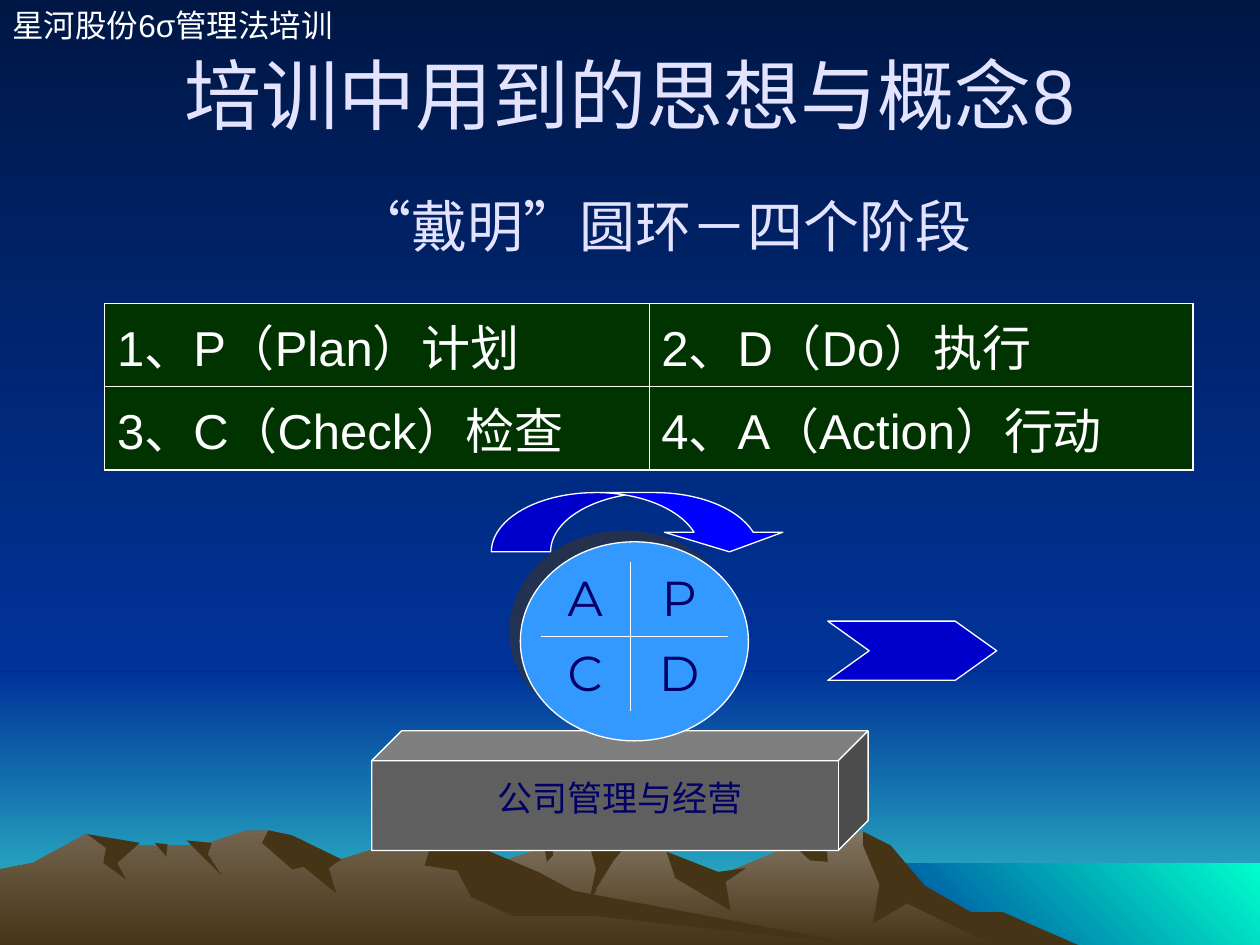
from lxml import etree
from pptx import Presentation
from pptx.dml.color import RGBColor
from pptx.enum.shapes import MSO_SHAPE
from pptx.enum.text import MSO_ANCHOR, MSO_AUTO_SIZE, PP_ALIGN
from pptx.oxml.ns import qn
from pptx.util import Inches, Pt

LEFT, CENTER = PP_ALIGN.LEFT, PP_ALIGN.CENTER
TOP, MIDDLE = MSO_ANCHOR.TOP, MSO_ANCHOR.MIDDLE
RECTANGLE, CUBE = MSO_SHAPE.RECTANGLE, MSO_SHAPE.CUBE
CIRCLE, CHEVRON = MSO_SHAPE.FLOWCHART_CONNECTOR, MSO_SHAPE.CHEVRON
CURVED_ARROW = MSO_SHAPE.CURVED_DOWN_ARROW

WHITE, LILAC, NAVY, BROWN = "FFFFFF", "E3E3FF", "000066", "463416"
SKY = ("001746", "003399", 270)
HAZE = ("003399", "33CCCC", 270)
SEA = ("00FFCC", "003399", 225)
FAR_HILL = ("837763", BROWN, 270)
NEAR_HILL = ("72644E", BROWN, 270)
ARIAL, LETTER_FONT, CJK_FONT = "Arial", "Montserrat", "Noto Sans CJK SC"
THICK, THIN = 1.08, 0.45

HEADER = "星河股份6σ管理法培训"
TITLE = "培训中用到的思想与概念8"
SUBTITLE = "“戴明”圆环－四个阶段"
STAGES = [["1、P（Plan）计划", "2、D（Do）执行"],
          ["3、C（Check）检查", "4、A（Action）行动"]]
WHEEL_LETTERS = [["A", "P"], ["C", "D"]]
BASE_LABEL = "公司管理与经营"

HORIZON = 5.33
BACKDROP = [((0, HORIZON, 10, 7.5 - HORIZON), HAZE), ((0, 0, 10, HORIZON), SKY),
            ((6.83, 6.85, 3.17, 0.67), SEA)]

TERRAIN = [
    (FAR_HILL, [
        (8.21, 7.51), (7.64, 7.23), (7.23, 6.98), (6.85, 6.6), (6.56, 6.71), (6.29, 6.71),
        (5.66, 6.97), (5.29, 6.76), (4.86, 6.73), (4.71, 6.58), (4.38, 6.71), (3.94, 6.85),
        (3.27, 7.09), (2.58, 7.51)]),
    (BROWN, [
        (6.85, 6.6), (7.07, 6.71), (7.34, 7.03), (7.71, 7.24), (7.96, 7.24), (8.58, 7.51),
        (7.92, 7.52), (7.2, 7.17), (6.93, 7.33), (6.98, 7.02), (6.85, 6.71)]),
    (BROWN, [
        (4.71, 6.58), (4.97, 6.71), (4.87, 6.83), (4.74, 7.04), (4.65, 7.27), (4.73, 6.9),
        (4.68, 6.71)]),
    (BROWN, [
        (5.29, 6.76), (5.7, 6.92), (5.92, 6.89), (5.76, 7), (5.8, 7.23), (5.36, 6.97)]),
    (BROWN, [(6.3, 6.71), (6.56, 6.71), (6.57, 6.84), (6.43, 6.83)]),
    (BROWN, [(4.32, 6.71), (4.39, 6.7), (4.39, 6.79), (4.34, 6.84)]),
    (NEAR_HILL, [
        (6.9, 7.51), (4.32, 7.12), (3.54, 6.65), (3.31, 6.63), (2.71, 6.82), (2.36, 6.81),
        (2.15, 6.59), (1.95, 6.59), (1.6, 6.71), (0.94, 6.71), (0.68, 6.62), (0.26, 6.85),
        (0, 6.9), (0, 7.51)]),
    (BROWN, [
        (2.13, 6.59), (2.32, 6.63), (2.71, 6.82), (2.61, 6.89), (2.67, 7.09), (2.41, 6.88),
        (2.32, 6.9), (2.08, 6.69)]),
    (BROWN, [
        (3.44, 6.65), (3.7, 6.68), (4.27, 6.92), (4.55, 7.07), (6.9, 7.51), (4.72, 7.27),
        (4.07, 7.27), (3.74, 7.12), (3.63, 6.91), (3.37, 6.87)]),
    (BROWN, [(3.18, 6.64), (3.27, 6.67), (3.3, 6.74), (3.19, 6.72)]),
    (BROWN, [(1.48, 6.67), (1.68, 6.69), (1.65, 6.78), (1.76, 6.95)]),
    (BROWN, [(1.23, 6.69), (1.33, 6.7), (1.32, 6.8)]),
    (BROWN, [
        (0.69, 6.62), (1.11, 6.69), (0.93, 6.85), (1, 6.98), (0.82, 6.85), (0.84, 6.73)]),
]


def rgb(color):
    return RGBColor.from_string(color)


def paint(fill, color):
    if isinstance(color, str):
        fill.solid()
        fill.fore_color.rgb = rgb(color)
        return
    *ends, angle = color
    fill.gradient()
    fill.gradient_angle = angle
    for stop, end in zip(fill.gradient_stops, ends):
        stop.color.rgb = rgb(end)


def finish(shape, color, outlined=False):
    paint(shape.fill, color)
    shape.shadow.inherit = False
    if outlined:
        shape.line.color.rgb = rgb(WHITE)
        shape.line.width = Pt(0.75)
    else:
        shape.line.fill.background()


def add_preset(kind, box, color, outlined=True, adjustments=()):
    shape = slide.shapes.add_shape(kind, *map(Inches, box))
    for i, value in enumerate(adjustments):
        shape.adjustments[i] = value
    finish(shape, color, outlined)
    return shape


def add_outline(points, color):
    start, *rest = [(round(x * 100), round(y * 100)) for x, y in points]
    builder = slide.shapes.build_freeform(*start, scale=Inches(0.01))
    builder.add_line_segments(rest, close=True)
    finish(builder.convert_to_shape(), color)


def write(frame, text, size, color, font=ARIAL, align=LEFT, before=0):
    paragraph = frame.paragraphs[0]
    paragraph.alignment = align
    paragraph.space_before = Pt(before)
    run = paragraph.add_run()
    run.text = text
    run.font.size = Pt(size)
    run.font.name = font
    run.font.color.rgb = rgb(color)
    east_asian = etree.Element(qn("a:ea"), typeface=CJK_FONT)
    run.font._element.find(qn("a:latin")).addnext(east_asian)


def add_label(box, text, size, color, anchor=TOP, **style):
    frame = slide.shapes.add_textbox(*map(Inches, box)).text_frame
    frame.word_wrap = True
    frame.vertical_anchor = anchor
    write(frame, text, size, color, **style)


def set_borders(cell, widths):
    properties = cell._tc.get_or_add_tcPr()
    for i, (side, width) in enumerate(zip("LRTB", widths)):
        line = etree.Element(qn(f"a:ln{side}"), w=str(Pt(width)))
        if width:
            solid = etree.SubElement(line, qn("a:solidFill"))
            etree.SubElement(solid, qn("a:srgbClr"), val=WHITE)
        else:
            etree.SubElement(line, qn("a:noFill"))
        properties.insert(i, line)


def add_grid(left, top, widths, row_height, texts, outer, fill, anchor, **style):
    rows, cols = len(texts), len(widths)
    table = slide.shapes.add_table(rows, cols, Inches(left), Inches(top),
                                   Inches(sum(widths)), Inches(row_height * rows)).table
    table.first_row = table.horz_banding = False
    for column, width in zip(table.columns, widths):
        column.width = Inches(width)
    for r, row in enumerate(texts):
        for c, text in enumerate(row):
            cell = table.cell(r, c)
            cell.vertical_anchor = anchor
            if fill:
                paint(cell.fill, fill)
            else:
                cell.fill.background()
            edges = (c == 0, c == cols - 1, r == 0, r == rows - 1)
            set_borders(cell, [outer if edge else THIN for edge in edges])
            write(cell.text_frame, text, 28, before=7, **style)


def add_hard_shadow(shape, color, opacity, distance, angle):
    effects = shape._element.spPr.find(qn("a:effectLst"))
    shadow = etree.SubElement(effects, qn("a:outerShdw"), dist=str(Pt(distance)),
                              dir=str(angle * 60000), algn="ctr", rotWithShape="0")
    tint = etree.SubElement(shadow, qn("a:srgbClr"), val=color)
    etree.SubElement(tint, qn("a:alpha"), val=str(opacity * 1000))


prs = Presentation()
prs.slide_width, prs.slide_height = Inches(10), Inches(7.5)
slide = prs.slides.add_slide(prs.slide_layouts[5])
paint(slide.background.fill, SKY)

for box, color in BACKDROP:
    add_preset(RECTANGLE, box, color, outlined=False)
for color, points in TERRAIN:
    add_outline(points, color)

add_label((0, 0, 2.95, 0.4), HEADER, 18, WHITE, before=11.2)

title = slide.shapes.title
title.left, title.top, title.width, title.height = map(Inches, (0.5, 0.25, 9, 0.98))
title.text_frame.auto_size = MSO_AUTO_SIZE.NONE
title.text_frame.vertical_anchor = MIDDLE
write(title.text_frame, TITLE, 44, LILAC, align=CENTER)
title._element.getparent().append(title._element)

add_preset(CUBE, (2.95, 5.8, 3.94, 0.95), "5F5F5F", adjustments=[0.25])
add_label((1.14, 1.39, 8.25, 0.8), SUBTITLE, 32, LILAC, MIDDLE, font=CJK_FONT, align=CENTER)
wheel = add_preset(CIRCLE, (4.13, 4.3, 1.81, 1.58), "3399FF")
add_hard_shadow(wheel, BROWN, 50, 8.5, 225)

add_grid(0.83, 2.41, [4.32, 4.32], 0.66, STAGES, THICK, "003300", TOP, color=WHITE)
add_grid(4.29, 4.46, [0.71, 0.78], 0.59, WHEEL_LETTERS, 0, None, MIDDLE,
         color=NAVY, font=LETTER_FONT, align=CENTER)

add_label((3.5, 6.11, 2.84, 0.44), BASE_LABEL, 20, NAVY, align=CENTER, before=12.5)
add_preset(CURVED_ARROW, (3.9, 3.91, 2.36, 0.47), "0000FF", adjustments=[1, 2, 0.33])
add_preset(CHEVRON, (6.57, 4.93, 1.34, 0.47), "0000CC", adjustments=[0.7])

prs.save("out.pptx")
